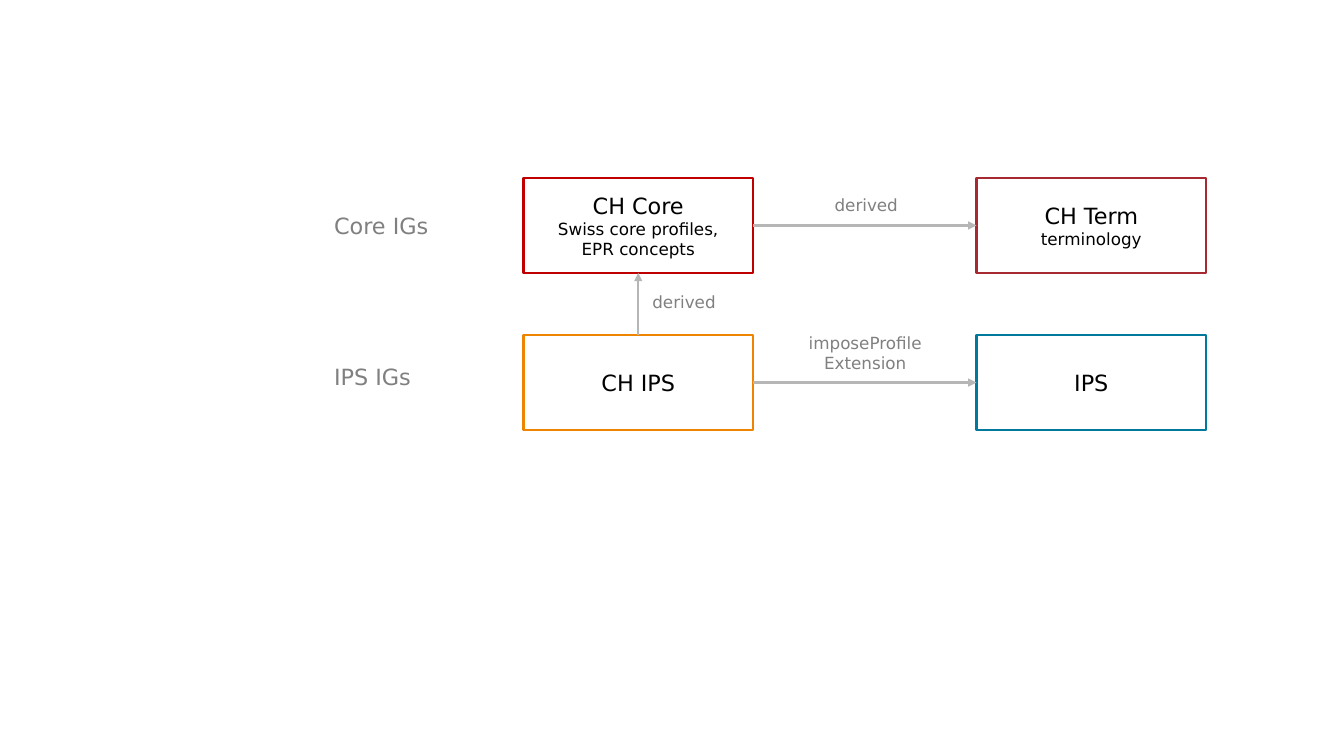
from lxml import etree
from pptx import Presentation
from pptx.dml.color import RGBColor
from pptx.enum import shapes, text
from pptx.oxml.ns import qn
from pptx.util import Inches, Pt

FONT = "DejaVu Sans"
BLACK = RGBColor(0x00, 0x00, 0x00)
GREY = RGBColor(0x80, 0x80, 0x80)
ARROW_GREY = RGBColor(0xB6, 0xB6, 0xB6)
RED = RGBColor(0xC0, 0x00, 0x00)
DARK_RED = RGBColor(0xA7, 0x29, 0x31)
ORANGE = RGBColor(0xEE, 0x85, 0x00)
TEAL = RGBColor(0x00, 0x79, 0x9C)

SWISS_X, TARGET_X = 5.2, 9.7
CORE_Y, IPS_Y = 1.77, 3.33
GUIDE_W, GUIDE_H = 2.28, 0.94
TOP, LEFT, BOTTOM, RIGHT = range(4)  # connection sites of a rectangle


def write(paragraph, words, size, color, align):
    paragraph.text = words
    paragraph.alignment = align
    paragraph.font.name = FONT
    paragraph.font.size = Pt(size)
    paragraph.font.color.rgb = color


def add_guide(slide, x, y, color, name, detail=None):
    """Outlined box for one implementation guide."""
    guide = slide.shapes.add_shape(
        shapes.MSO_SHAPE.RECTANGLE,
        Inches(x), Inches(y), Inches(GUIDE_W), Inches(GUIDE_H))
    guide.shadow.inherit = False
    guide.fill.background()
    guide.line.color.rgb = color
    guide.line.width = Pt(1.5)
    frame = guide.text_frame
    frame.word_wrap = True
    frame.vertical_anchor = text.MSO_ANCHOR.MIDDLE
    write(frame.paragraphs[0], name, 16, BLACK, text.PP_ALIGN.CENTER)
    if detail:
        write(frame.add_paragraph(), detail, 12, BLACK, text.PP_ALIGN.CENTER)
    return guide


def add_row_label(slide, y, words):
    label = slide.shapes.add_textbox(
        Inches(3.22), Inches(y), Inches(1.41), Inches(0.61))
    label.text_frame.word_wrap = True
    label.text_frame.vertical_anchor = text.MSO_ANCHOR.MIDDLE
    write(label.text_frame.paragraphs[0], words, 16, GREY, text.PP_ALIGN.LEFT)


def add_relation(slide, source, source_site, target, target_site):
    """Arrow glued to two guides."""
    arrow = slide.shapes.add_connector(shapes.MSO_CONNECTOR.STRAIGHT, 0, 0, 0, 0)
    arrow.begin_connect(source, source_site)
    arrow.end_connect(target, target_site)
    arrow.line.color.rgb = ARROW_GREY
    arrow.line.width = Pt(1.5)
    etree.SubElement(arrow.line._get_or_add_ln(), qn("a:tailEnd"), type="triangle")
    etree.SubElement(arrow._element.spPr, qn("a:effectLst"))


def add_relation_label(slide, x, y, width, height, words):
    label = slide.shapes.add_textbox(
        Inches(x), Inches(y), Inches(width), Inches(height))
    label.text_frame.word_wrap = False
    label.text_frame.auto_size = text.MSO_AUTO_SIZE.SHAPE_TO_FIT_TEXT
    write(label.text_frame.paragraphs[0], words, 12, GREY, text.PP_ALIGN.CENTER)


def main():
    deck = Presentation()
    deck.slide_width, deck.slide_height = Inches(13.35), Inches(7.5)
    slide = deck.slides.add_slide(deck.slide_layouts[6])

    add_row_label(slide, 1.94, "Core IGs")
    add_row_label(slide, 3.44, "IPS IGs")

    ch_core = add_guide(slide, SWISS_X, CORE_Y, RED, "CH Core",
                        "Swiss core profiles,\vEPR concepts")
    ch_term = add_guide(slide, TARGET_X, CORE_Y, DARK_RED, "CH Term", "terminology")
    ch_ips = add_guide(slide, SWISS_X, IPS_Y, ORANGE, "CH IPS")
    ips = add_guide(slide, TARGET_X, IPS_Y, TEAL, "IPS")

    add_relation(slide, ch_core, RIGHT, ch_term, LEFT)
    add_relation(slide, ch_ips, TOP, ch_core, BOTTOM)
    add_relation(slide, ch_ips, RIGHT, ips, LEFT)

    add_relation_label(slide, 8.19, 1.89, 0.83, 0.3, "derived")
    add_relation_label(slide, 6.38, 2.85, 0.83, 0.3, "derived")
    add_relation_label(slide, 7.93, 3.26, 1.33, 0.5, "imposeProfile\vExtension")

    deck.save("out.pptx")


if __name__ == "__main__":
    main()
